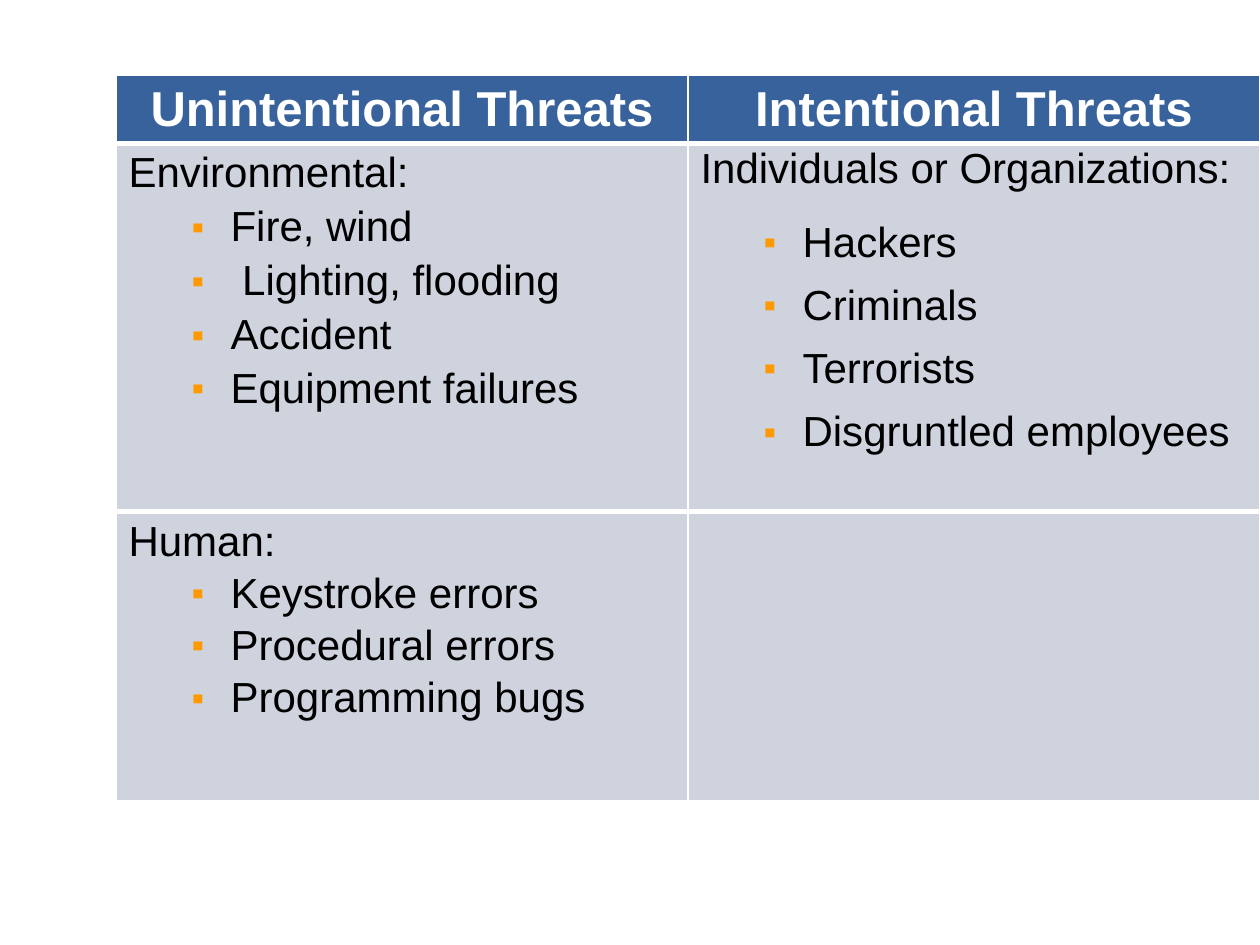
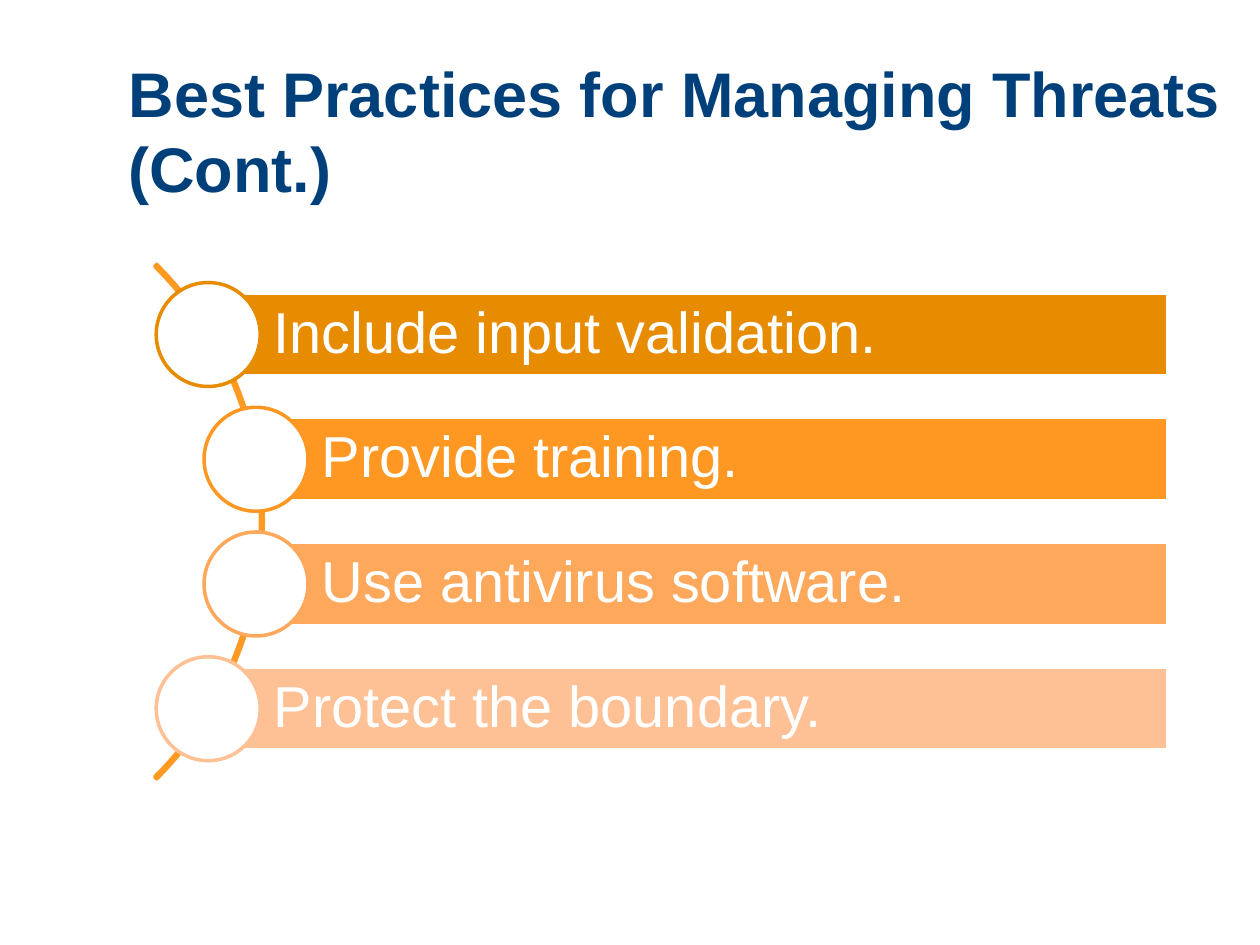
import dataclasses
import pptx
import pptx.dml.color
import pptx.enum.shapes
import pptx.enum.text
import pptx.oxml
import pptx.oxml.ns
import pptx.util

Pt = pptx.util.Pt
SHAPE = pptx.enum.shapes.MSO_SHAPE
ANCHOR = pptx.enum.text.MSO_ANCHOR
ALIGN = pptx.enum.text.PP_ALIGN
W, H = pptx.util.Inches(10), pptx.util.Inches(7.5)


@dataclasses.dataclass(frozen=True)
class Theme:
    font: str = "Arial"
    white: str = "FFFFFF"
    black: str = "000000"
    title: str = "00407A"
    header: str = "38629C"
    cell: str = "CED3DE"
    bullet: str = "FE9901"
    arc: str = "FE9A22"
    bars: tuple = ("E78B01", "FE9823", "FEA85C", "FEC095")
    title_size: int = 36
    header_size: int = 28
    body_size: int = 24
    bar_size: int = 33
    line: int = 2


@dataclasses.dataclass(frozen=True)
class Box:
    x: int
    y: int
    w: int
    h: int


T = Theme()
MARGIN = 0.092  # left margin shared by the title and the table


def share(x, y, w, h):
    """Box given as shares of the slide's width and height."""
    return Box(int(x * W), int(y * H), int(w * W), int(h * H))


# Shared formatting
def rgb(color):
    return pptx.dml.color.RGBColor.from_string(color)


def set_attrs(obj, **values):
    for name, value in values.items():
        setattr(obj, name, value)


def write(p, text, size, color, bold=False, **paragraph):
    set_attrs(p, **paragraph)
    r = p.add_run()
    r.text = text
    set_attrs(r.font, name=T.font, size=Pt(size), bold=bold)
    r.font.color.rgb = rgb(color)


def add_bullet(p):
    pPr = p._p.get_or_add_pPr()
    pPr.set("marL", str(pptx.util.Inches(0.81)))
    pPr.set("indent", str(pptx.util.Inches(-0.31)))
    ns = pptx.oxml.ns.nsdecls("a")
    for xml in (f'<a:buClr {ns}><a:srgbClr val="{T.bullet}"/></a:buClr>',
                f'<a:buSzPct {ns} val="85000"/>',
                f'<a:buFont {ns} typeface="{T.font}"/>',
                f'<a:buChar {ns} char="▪"/>'):
        pPr.append(pptx.oxml.parse_xml(xml))


def add_borders(cell, top, bottom):
    tcPr = cell._tc.get_or_add_tcPr()
    ns = pptx.oxml.ns.nsdecls("a")
    widths = {"lnL": 1, "lnR": 1, "lnT": top, "lnB": bottom}
    for i, (side, width) in enumerate(widths.items()):
        tcPr.insert(i, pptx.oxml.parse_xml(
            f'<a:{side} {ns} w="{Pt(width)}"><a:solidFill>'
            f'<a:srgbClr val="{T.white}"/></a:solidFill></a:{side}>'))


def add_shape(s, kind, box, fill, line):
    sp = s.shapes.add_shape(kind, box.x, box.y, box.w, box.h)
    sp.shadow.inherit = False
    sp.fill.solid()
    sp.fill.fore_color.rgb = rgb(fill)
    sp.line.color.rgb = rgb(line)
    sp.line.width = Pt(T.line)
    return sp


# Title
def place_title(s, text, box):
    sp = s.shapes.title
    set_attrs(sp, left=box.x, top=box.y, width=box.w, height=box.h)
    tf = sp.text_frame
    set_attrs(tf, word_wrap=True, vertical_anchor=ANCHOR.TOP,
              auto_size=pptx.enum.text.MSO_AUTO_SIZE.NONE,
              margin_top=pptx.util.Inches(0.1))
    write(tf.paragraphs[0], text, T.title_size, T.title, True,
          alignment=ALIGN.LEFT)


# Threat table
def fill_threat_cell(cell, heading, items, heading_format, item_format):
    tf = cell.text_frame
    write(tf.paragraphs[0], heading, T.body_size, T.black, **heading_format)
    for item in items:
        p = tf.add_paragraph()
        write(p, item, T.body_size, T.black, level=1, **item_format)
        add_bullet(p)


def place_threat_table(s, headers, groups, row_shares, box):
    rows, cols = len(row_shares), len(headers)
    table = s.shapes.add_table(rows, cols, box.x, box.y, box.w, box.h).table
    table.horz_banding = False
    for col in table.columns:
        col.width = box.w // cols
    for row, part in zip(table.rows, row_shares):
        row.height = int(box.h * part / sum(row_shares))
    for r in range(rows):
        for c in range(cols):
            cell = table.cell(r, c)
            cell.fill.solid()
            cell.fill.fore_color.rgb = rgb(T.cell if r else T.header)
            add_borders(cell, 3 if r else 1, 3 if r < rows - 1 else 1)
    for c, text in enumerate(headers):
        write(table.cell(0, c).text_frame.paragraphs[0], text,
              T.header_size, T.white, True, alignment=ALIGN.CENTER)
    for (r, c), group in groups.items():
        fill_threat_cell(table.cell(r, c), *group)


# Curved list: bars with round nodes strung along an arc
def place_curved_list(s, items, box):
    bar_h, pitch, node, arc = (int(box.h * k) for k in (0.16, 0.24, 0.2, 1.4))
    mid_y = box.y + box.h // 2
    arc_right = box.x + int(0.206 * box.h)
    sp = add_shape(s, SHAPE.BLOCK_ARC,
                   Box(arc_right - arc, mid_y - arc // 2, arc, arc),
                   T.arc, T.arc)
    for i, value in enumerate((189, 27, 0.004)):
        sp.adjustments[i] = value

    last = len(items) - 1
    for i, (text, color) in enumerate(zip(items, T.bars)):
        shift = 0 if i in (0, last) else int(0.092 * box.h)
        x = box.x + node // 2 + shift
        y = mid_y + int((i - last / 2) * pitch)
        bar = add_shape(s, SHAPE.RECTANGLE,
                        Box(x, y - bar_h // 2, box.x + box.w - x, bar_h),
                        color, T.white)
        tf = bar.text_frame
        set_attrs(tf, word_wrap=True, vertical_anchor=ANCHOR.MIDDLE,
                  margin_left=pptx.util.Inches(0.52))
        write(tf.paragraphs[0], text, T.bar_size, T.white,
              alignment=ALIGN.LEFT, line_spacing=0.9)
        add_shape(s, SHAPE.OVAL,
                  Box(x - node // 2, y - node // 2, node, node),
                  T.white, color)


# Slides
def threats_slide(prs):
    s = prs.slides.add_slide(prs.slide_layouts[6])
    groups = {
        (1, 0): ("Environmental:",
                 ["Fire, wind", " Lighting, flooding", "Accident",
                  "Equipment failures"],
                 {}, {"space_before": Pt(4)}),
        (1, 1): ("Individuals or Organizations:",
                 ["Hackers", "Criminals", "Terrorists",
                  "Disgruntled employees"],
                 {"line_spacing": 0.9, "space_before": Pt(6),
                  "space_after": Pt(18)},
                 {"line_spacing": 0.9, "space_after": Pt(12)}),
        (2, 0): ("Human:",
                 ["Keystroke errors", "Procedural errors",
                  "Programming bugs"],
                 {"space_after": Pt(3)}, {"space_after": Pt(3)}),
    }
    place_threat_table(s, ["Unintentional Threats", "Intentional Threats"],
                       groups, (0.54, 2.92, 2.29),
                       share(MARGIN, 0.08, 1 - MARGIN, 0.767))


def practices_slide(prs):
    s = prs.slides.add_slide(prs.slide_layouts[5])
    place_title(s, "Best Practices for Managing Threats (Cont.)",
                share(MARGIN, 0.044, 1 - MARGIN, 0.156))
    place_curved_list(s, ["Include input validation.", "Provide training.",
                          "Use antivirus software.", "Protect the boundary."],
                      share(0.124, 0.277, 0.803, 0.55))


def main():
    prs = pptx.Presentation()
    set_attrs(prs, slide_width=W, slide_height=H)
    threats_slide(prs)
    practices_slide(prs)
    prs.save("out.pptx")


if __name__ == "__main__":
    main()
